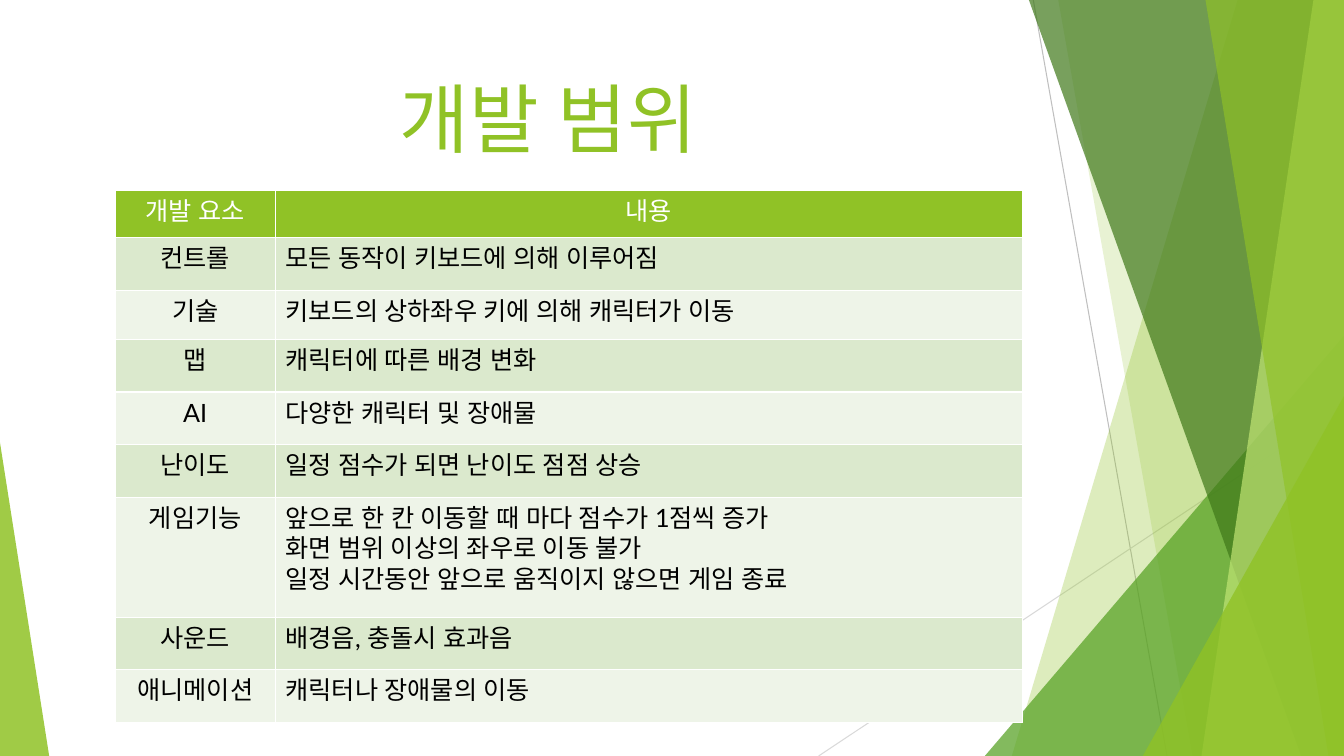
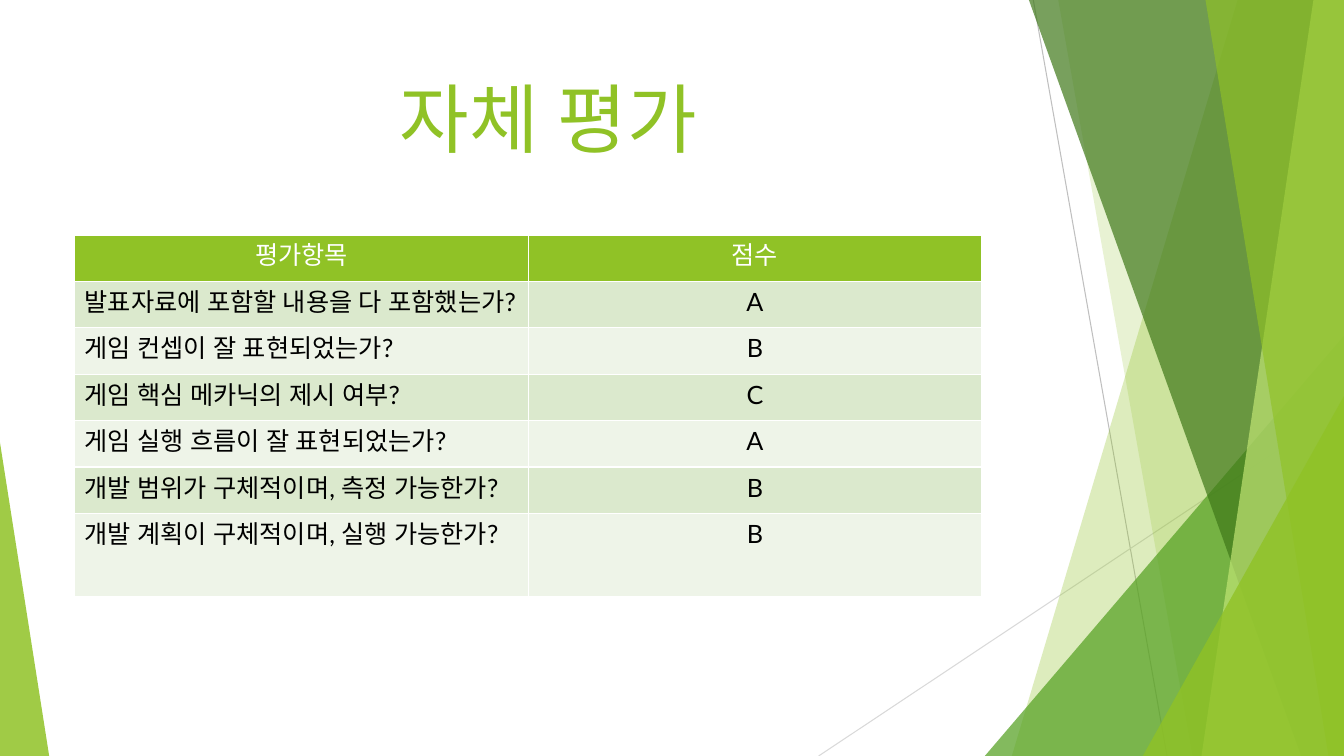
"""Build two table slides, development scope and self-evaluation, over a shared green facet layout."""
from dataclasses import dataclass

from lxml.etree import SubElement
from pptx import Presentation
from pptx.dml.color import RGBColor
from pptx.enum.lang import MSO_LANGUAGE_ID
from pptx.enum.shapes import MSO_CONNECTOR, MSO_SHAPE
from pptx.enum.text import MSO_ANCHOR, PP_ALIGN
from pptx.oxml.ns import qn
from pptx.util import Cm, Pt


@dataclass(frozen=True)
class Theme:
    font: str = "Lato"
    title_size: int = 54
    table_size: int = 18
    accent: str = "90C226"
    leaf: str = "54A021"
    forest: str = "3F7819"
    lime: str = "C0E474"
    white: str = "FFFFFF"
    black: str = "000000"
    band_odd: str = "DBE9CD"
    band_even: str = "EEF4E8"
    line_dark: str = "BFBFBF"
    line_light: str = "D9D9D9"


theme = Theme()
WIDTH, HEIGHT = 33.87, 19.05

FACET_LINES = [
    (theme.line_dark, 26.04, 0, 29.41, HEIGHT),
    (theme.line_light, WIDTH, 10.24, 20.63, HEIGHT),
]

FACETS = [
    (theme.accent, 30, (31.19, 25.5)),
    (theme.accent, 20, (26.67, 30.05)),
    (theme.leaf, 72, (24.82, 8.46, 9.05, 1)),
    (theme.forest, 70, (25.93, 32.79)),
    (theme.lime, 70, (33.1, 30.28)),
    (theme.accent, 65, (30.38, 33.48)),
    (theme.accent, 80, (28.8, 9.98, 5.07, 1)),
    (theme.accent, 85, (0, 11.15, 1.24, 0)),
]

SLIDES = [
    {
        "title": "개발 범위",
        "left": 2.9,
        "top": 4.8,
        "columns": [4.04, 18.82],
        "heights": [1.18, 1.33, 1.24, 1.33, 1.33, 1.33, 3.01, 1.33, 1.33],
        "centered_column": 0,
        "rows": [
            ("개발 요소", "내용"),
            ("컨트롤", "모든 동작이 키보드에 의해 이루어짐"),
            ("기술", "키보드의 상하좌우 키에 의해 캐릭터가 이동"),
            ("맵", "캐릭터에 따른 배경 변화"),
            ("AI", "다양한 캐릭터 및 장애물"),
            ("난이도", "일정 점수가 되면 난이도 점점 상승"),
            ("게임기능", "앞으로 한 칸 이동할 때 마다 점수가 1점씩 증가\n"
                     "화면 범위 이상의 좌우로 이동 불가\n"
                     "일정 시간동안 앞으로 움직이지 않으면 게임 종료"),
            ("사운드", "배경음, 충돌시 효과음"),
            ("애니메이션", "캐릭터나 장애물의 이동"),
        ],
    },
    {
        "title": "자체 평가",
        "left": 1.88,
        "top": 5.92,
        "columns": [11.43, 11.43],
        "heights": [1.17] * 6 + [2.09],
        "centered_column": 1,
        "rows": [
            ("평가항목", "점수"),
            ("발표자료에 포함할 내용을 다 포함했는가?", "A"),
            ("게임 컨셉이 잘 표현되었는가?", "B"),
            ("게임 핵심 메카닉의 제시 여부?", "C"),
            ("게임 실행 흐름이 잘 표현되었는가?", "A"),
            ("개발 범위가 구체적이며, 측정 가능한가?", "B"),
            ("개발 계획이 구체적이며, 실행 가능한가?", "B"),
        ],
    },
]


def format_paragraph(paragraph, size, color, centered):
    paragraph.alignment = PP_ALIGN.CENTER if centered else PP_ALIGN.LEFT
    paragraph.font.name = theme.font
    paragraph.font.size = Pt(size)
    paragraph.font.bold = False
    paragraph.font.color.rgb = RGBColor.from_string(color)
    for run in paragraph.runs:
        run.font.language_id = MSO_LANGUAGE_ID.KOREAN
        SubElement(run.font._element, qn("a:ea"), typeface=theme.font)


presentation = Presentation()
presentation.slide_width, presentation.slide_height = Cm(WIDTH), Cm(HEIGHT)
layout = presentation.slide_layouts[6]
slides = [presentation.slides.add_slide(layout) for _ in SLIDES]
shapes = slides[0].shapes

for color, *ends in FACET_LINES:
    connector = shapes.add_connector(MSO_CONNECTOR.STRAIGHT, *map(Cm, ends))
    connector.line.color.rgb = RGBColor.from_string(color)
    connector.line.width = Pt(0.75)
    SubElement(connector.element.spPr, qn("a:effectLst"))
    layout.shapes.element.append(connector.element)

for color, opacity, outline in FACETS:
    if len(outline) == 2:
        top_x, bottom_x = outline
        builder = shapes.build_freeform(Cm(top_x), 0)
        corners = [(WIDTH, 0), (WIDTH, HEIGHT), (bottom_x, HEIGHT)]
        builder.add_line_segments([(Cm(x), Cm(y)) for x, y in corners])
        shape = builder.convert_to_shape()
    else:
        left, top, width, apex = outline
        shape = shapes.add_shape(
            MSO_SHAPE.ISOSCELES_TRIANGLE, Cm(left), Cm(top), Cm(width), Cm(HEIGHT - top))
        shape.adjustments[0] = apex
    shape.shadow.inherit = False
    shape.line.fill.background()
    shape.fill.solid()
    shape.fill.fore_color.rgb = RGBColor.from_string(color)
    fill_color = shape.element.spPr.find(f"{qn('a:solidFill')}/{qn('a:srgbClr')}")
    SubElement(fill_color, qn("a:alpha"), val=str(opacity * 1000))
    layout.shapes.element.append(shape.element)

for slide, content in zip(slides, SLIDES):
    title = slide.shapes.add_textbox(Cm(1.88), Cm(1.7), Cm(23.88), Cm(3.66))
    title.text_frame.word_wrap = True
    title.text_frame.vertical_anchor = MSO_ANCHOR.TOP
    title.text_frame.text = content["title"]
    format_paragraph(title.text_frame.paragraphs[0], theme.title_size, theme.accent, True)

    columns, heights, rows = content["columns"], content["heights"], content["rows"]
    table = slide.shapes.add_table(
        len(rows), len(columns), Cm(content["left"]), Cm(content["top"]),
        Cm(sum(columns)), Cm(sum(heights))).table
    for column, width in zip(table.columns, columns):
        column.width = Cm(width)
    for row_index, (row, height, texts) in enumerate(zip(table.rows, heights, rows)):
        row.height = Cm(height)
        is_header = row_index == 0
        band = theme.band_odd if row_index % 2 else theme.band_even
        for column_index, (cell, text) in enumerate(zip(row.cells, texts)):
            cell.fill.solid()
            cell.fill.fore_color.rgb = RGBColor.from_string(theme.accent if is_header else band)
            cell.text = text
            for paragraph in cell.text_frame.paragraphs:
                format_paragraph(
                    paragraph, theme.table_size, theme.white if is_header else theme.black,
                    is_header or column_index == content["centered_column"])

presentation.save("out.pptx")
